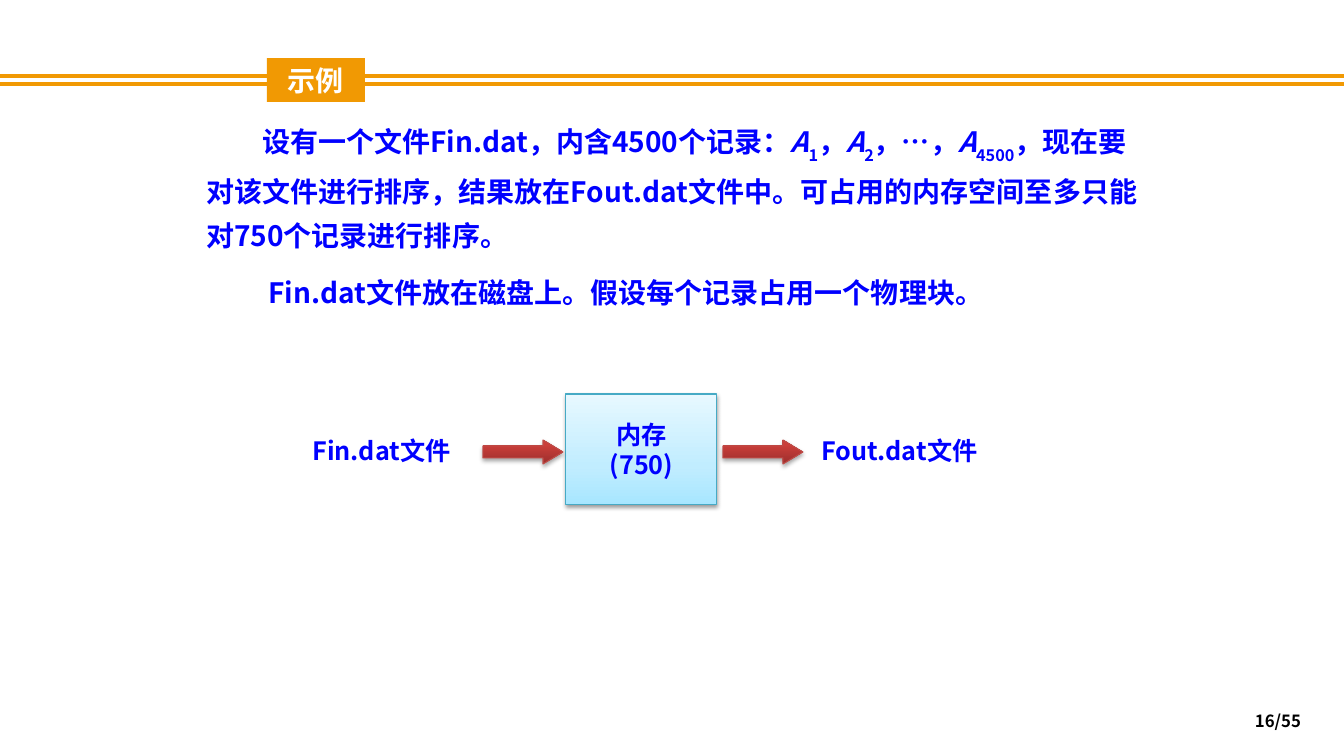
from lxml.etree import SubElement
from pptx import Presentation
from pptx.dml.color import RGBColor
from pptx.enum.shapes import MSO_CONNECTOR as Connector, MSO_SHAPE as Shape
from pptx.enum.text import MSO_ANCHOR as Anchor, MSO_AUTO_SIZE as AutoSize, PP_ALIGN as Align
from pptx.oxml.ns import qn
from pptx.util import Emu, Pt

SLIDE_W, SLIDE_H = 1344, 756
FONT = "Noto Sans CJK SC"
COLORS = {
    "accent": "F19903", "text": "0000FF", "white": "FFFFFF", "black": "000000",
    "memory_line": "46AAC5", "arrow_line": "BF4C48",
}
GRADIENTS = {
    "memory": [(0, "A7E6FF"), (35, "C1EDFF"), (100, "E7F8FF")],
    "arrow": [(0, "9C2F2D"), (80, "CB3E3A"), (100, "CE3B37")],
}
INTRO = [
    ("\u3000\u3000设有一个文件Fin.dat，内含4500个记录：", ""),
    ("A", "italic"), ("1", "sub"), ("，", ""),
    ("A", "italic"), ("2", "sub"), ("，…，", ""),
    ("A", "italic"), ("4500", "sub"),
    ("，现在要对该文件进行排序，结果放在Fout.dat文件中。"
     "可占用的内存空间至多只能对750个记录进行排序。", ""),
]
STORAGE = [("\u3000\u3000 Fin.dat文件放在磁盘上。假设每个记录占用一个物理块。", "")]


def px(length):
    """Turn px into EMU."""
    return Emu(round(length * 914400 / 100.8))


def rgb(name):
    """Look up a colour by its name."""
    return RGBColor.from_string(COLORS[name])


def place(part, box):
    """Move a part to a box of left, top, width and height."""
    part.left, part.top, part.width, part.height = map(px, box)


def format_run(run, size, color):
    """Give a run its font, size and colour."""
    run.font.name, run.font.size, run.font.bold = FONT, Pt(size), True
    run.font.color.rgb = rgb(color)
    SubElement(run._r.get_or_add_rPr(), qn("a:ea")).set("typeface", FONT)


def write(frame, text, size, color, align=Align.CENTER, anchor=Anchor.TOP):
    """Fill a text frame with evenly formatted lines."""
    frame.text = text
    frame.word_wrap, frame.auto_size = True, AutoSize.NONE
    frame.vertical_anchor = anchor
    for paragraph in frame.paragraphs:
        paragraph.alignment = align
        for run in paragraph.runs:
            format_run(run, size, color)


def add_label(shapes, box, text, size, color, **layout):
    """Add a text box."""
    label = shapes.add_textbox(*map(px, box))
    write(label.text_frame, text, size, color, **layout)


def add_block(shapes, kind, box, gradient, line, alpha, distance):
    """Add a shape with a vertical gradient and a soft shadow."""
    block = shapes.add_shape(kind, *map(px, box))
    block.fill.gradient()
    block.fill.gradient_angle = 90
    properties = block._element.spPr
    stops = properties.find(".//" + qn("a:gsLst"))
    stops.clear()
    for position, color in GRADIENTS[gradient]:
        stop = SubElement(stops, qn("a:gs"), pos=str(position * 1000))
        SubElement(stop, qn("a:srgbClr"), val=color)
    block.line.color.rgb, block.line.width = rgb(line), Pt(0.75)
    block.shadow.inherit = False
    shadow = SubElement(properties.find(qn("a:effectLst")), qn("a:outerShdw"),
                        blurRad=str(Pt(3.1)), dist=str(Pt(distance)),
                        dir="5400000", rotWithShape="0")
    shade = SubElement(shadow, qn("a:srgbClr"), val=COLORS["black"])
    SubElement(shade, qn("a:alpha"), val=str(alpha * 1000))
    return block


def add_header(slide, box):
    """Place the title tag over two rules across the slide."""
    left, top, width, height = box
    for offset in (18, 26):
        y = px(top + offset)
        rule = slide.shapes.add_connector(Connector.STRAIGHT, 0, y, px(SLIDE_W), y)
        rule.line.color.rgb, rule.line.width = rgb("accent"), Pt(3)
        SubElement(rule._element.spPr, qn("a:effectLst"))
        slide.shapes._spTree.insert(2, rule._element)
    title = slide.shapes.title
    place(title, box)
    title.fill.solid()
    title.fill.fore_color.rgb = rgb("accent")
    write(title.text_frame, "示例", 20, "white", anchor=Anchor.MIDDLE)


def add_problem(slide, box):
    """Write the problem statement in the body placeholder."""
    body = slide.placeholders[1]
    place(body, box)
    frame = body.text_frame
    frame.word_wrap, frame.auto_size = True, AutoSize.NONE
    for paragraph, pieces in zip((frame.paragraphs[0], frame.add_paragraph()), (INTRO, STORAGE)):
        paragraph.line_spacing, paragraph.space_before = 1.3, Pt(10)
        paragraph.alignment = Align.LEFT
        settings = paragraph._p.get_or_add_pPr()
        settings.set("marL", "0")
        settings.set("indent", "0")
        SubElement(settings, qn("a:buNone"))
        for text, style in pieces:
            run = paragraph.add_run()
            run.text = text
            format_run(run, 20, "text")
            run.font.italic = style == "italic"
            if style == "sub":
                run._r.get_or_add_rPr().set("baseline", "-30000")


def add_flow(slide, box):
    """Draw the flow from the input file through memory to the output file."""
    left, top, width, height = box
    flow = slide.shapes.add_group_shape().shapes
    memory = add_block(flow, Shape.RECTANGLE, (left + 288, top, 151, height),
                       "memory", "memory_line", 38, 1.6)
    write(memory.text_frame, "内存\n(750)", 18, "text", anchor=Anchor.MIDDLE)
    for offset in (205, 445):
        arrow = add_block(flow, Shape.RIGHT_ARROW, (left + offset, top + 46, 80, 24),
                          "arrow", "arrow_line", 35, 1.8)
        arrow.adjustments[0], arrow.adjustments[1] = 0.5, 0.83
    label_w = 207
    for x, text in ((left, "Fin.dat文件"), (left + width - label_w, "Fout.dat文件")):
        add_label(slide.shapes, (x, top + 36, label_w, 40), text, 18, "text")


def add_page_number(slide, box):
    """Write the page number."""
    add_label(slide.shapes, box, "16/55", 12, "black", align=Align.RIGHT, anchor=Anchor.MIDDLE)


def main():
    """Build and save the slide."""
    deck = Presentation()
    deck.slide_width, deck.slide_height = px(SLIDE_W), px(SLIDE_H)
    slide = deck.slides.add_slide(deck.slide_layouts[1])
    add_header(slide, (267, 58, 98, 44))
    add_problem(slide, (196, 108, 953, 204))
    add_flow(slide, (278, 394, 725, 111))
    add_page_number(slide, (998, 701, 313, 40))
    deck.save("out.pptx")


if __name__ == "__main__":
    main()
